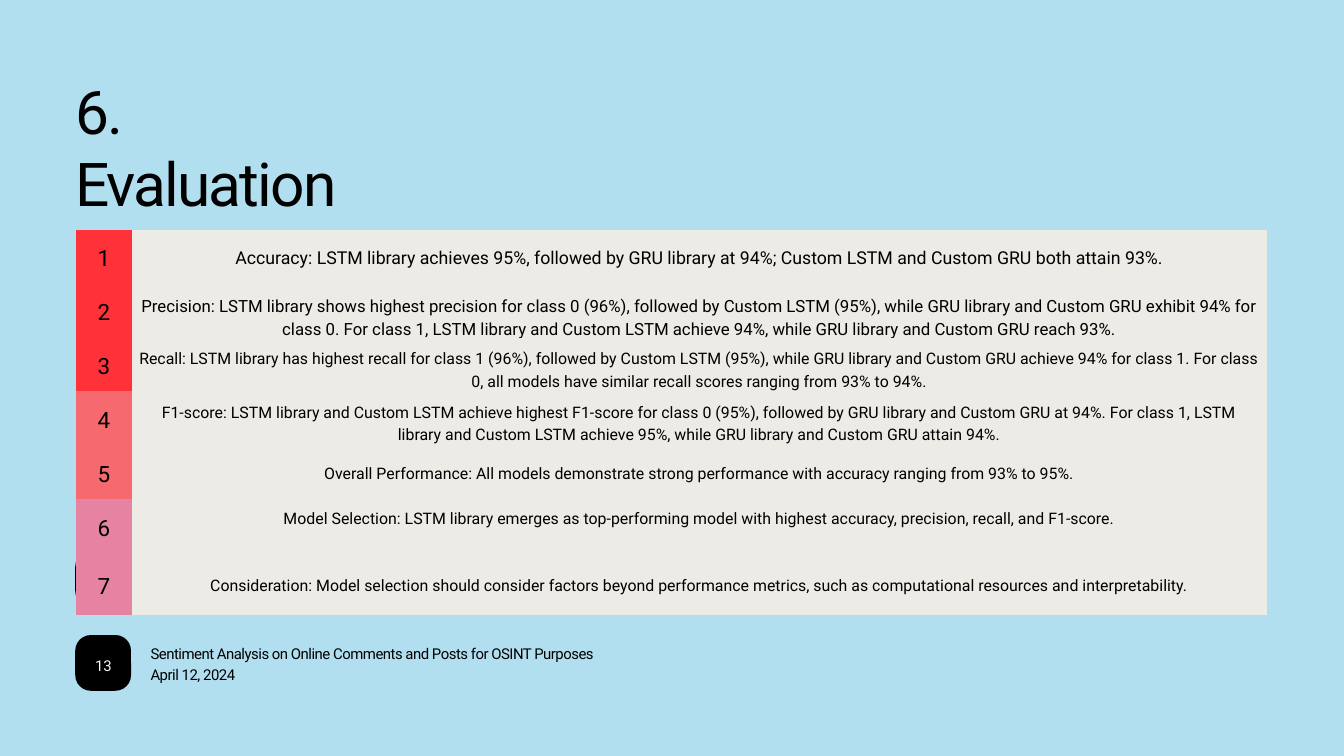
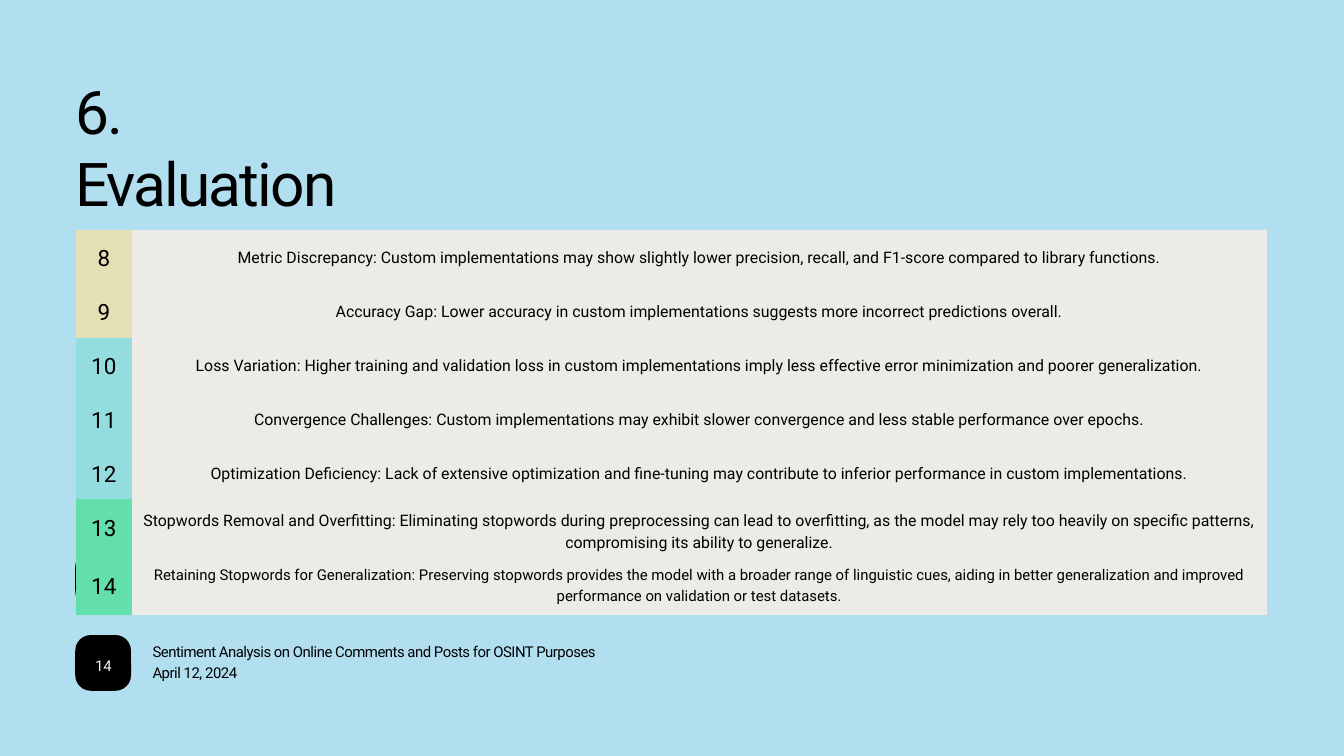
import collections

import pptx
import pptx.dml.color
import pptx.enum.shapes
import pptx.enum.text
import pptx.oxml
import pptx.oxml.ns
import pptx.util

RGB = pptx.dml.color.RGBColor
ALIGN = pptx.enum.text.PP_ALIGN
ANCHOR = pptx.enum.text.MSO_ANCHOR

SKY = RGB(0xB2, 0xDF, 0xF0)
BLACK = RGB(0x00, 0x00, 0x00)
WHITE = RGB(0xF4, 0xF4, 0xF4)
CREAM = RGB(0xED, 0xEB, 0xE6)
RED = RGB(0xFF, 0x31, 0x39)
CORAL = RGB(0xF6, 0x69, 0x6E)
PINK = RGB(0xE6, 0x83, 0xA3)
SAND = RGB(0xE4, 0xDF, 0xB5)
AQUA = RGB(0x94, 0xDD, 0xDE)
MINT = RGB(0x62, 0xDF, 0xAB)

FACE = "Roboto"
WIDE, TALL = 20, 11.25

# Boxes are in inches; each region places its parts inside its own box
Box = collections.namedtuple("Box", "x y w h")
HEAD = Box(1.12, 1.1, 17.75, 2.16)
BODY = Box(1.13, 3.42, 17.72, 5.61)
FOOT = Box(1.12, 9.45, 17.75, 0.83)
BADGE = 0.83
ROWS = 7
PAD = 0.11

# A point: its text, badge colour, size, height in rows and anchor
Point = collections.namedtuple("Point", "text tint size span anchor",
                               defaults=(17, 1, ANCHOR.MIDDLE))
TWO = 1.16

FIRST = [
    Point("Accuracy: LSTM library achieves 95%, followed by GRU library at 94%; "
          "Custom LSTM and Custom GRU both attain 93%.", RED, 19),
    Point("Precision: LSTM library shows highest precision for class 0 (96%), "
          "followed by Custom LSTM (95%), while GRU library and Custom GRU "
          "exhibit 94% for class 0. For class 1, LSTM library and Custom LSTM "
          "achieve 94%, while GRU library and Custom GRU reach 93%.",
          RED, 18, 1.21),
    Point("Recall: LSTM library has highest recall for class 1 (96%), followed "
          "by Custom LSTM (95%), while GRU library and Custom GRU achieve 94% "
          "for class 1. For class 0, all models have similar recall scores "
          "ranging from 93% to 94%.", RED, 17, TWO),
    Point("F1-score: LSTM library and Custom LSTM achieve highest F1-score for "
          "class 0 (95%), followed by GRU library and Custom GRU at 94%. For "
          "class 1, LSTM library and Custom LSTM achieve 95%, while GRU library "
          "and Custom GRU attain 94%.", CORAL, 17, TWO),
    Point("Overall Performance: All models demonstrate strong performance with "
          "accuracy ranging from 93% to 95%.", CORAL),
    Point("Model Selection: LSTM library emerges as top-performing model with "
          "highest accuracy, precision, recall, and F1-score.",
          PINK, 17, TWO, ANCHOR.TOP),
    Point("Consideration: Model selection should consider factors beyond "
          "performance metrics, such as computational resources and "
          "interpretability.", PINK, 17, TWO),
]
SECOND = [
    Point("Metric Discrepancy: Custom implementations may show slightly lower "
          "precision, recall, and F1-score compared to library functions.", SAND),
    Point("Accuracy Gap: Lower accuracy in custom implementations suggests more "
          "incorrect predictions overall.", SAND),
    Point("Loss Variation: Higher training and validation loss in custom "
          "implementations imply less effective error minimization and poorer "
          "generalization.", AQUA),
    Point("Convergence Challenges: Custom implementations may exhibit slower "
          "convergence and less stable performance over epochs.", AQUA),
    Point("Optimization Deficiency: Lack of extensive optimization and "
          "fine-tuning may contribute to inferior performance in custom "
          "implementations.", AQUA),
    Point("Stopwords Removal and Overfitting: Eliminating stopwords during "
          "preprocessing can lead to overfitting, as the model may rely too "
          "heavily on specific patterns, compromising its ability to "
          "generalize.", MINT, 17, TWO),
    Point("Retaining Stopwords for Generalization: Preserving stopwords provides "
          "the model with a broader range of linguistic cues, aiding in better "
          "generalization and improved performance on validation or test "
          "datasets.", MINT, 16, TWO),
]
NOTES = ["Sentiment Analysis on Online Comments and Posts for OSINT Purposes",
         "April 12, 2024"]


def inch(*nums):
    return [pptx.util.Inches(num) for num in nums]


def write(frame, text, size, align, color=BLACK, lead=1.4, track=0):
    """Fill a text frame with one formatted run."""
    frame.word_wrap = True
    para = frame.paragraphs[0]
    para.alignment = align
    para.line_spacing = pptx.util.Pt(round(size * lead, 1))
    run = para.add_run()
    run.text = text
    run.font.name = FACE
    run.font.size = pptx.util.Pt(size)
    run.font.bold = False
    run.font.color.rgb = color
    if track:
        run._r.get_or_add_rPr().set("spc", str(int(track * 100)))


def strip(frame):
    """Remove the insets and hang the text from the top."""
    frame.margin_left = frame.margin_right = 0
    frame.margin_top = frame.margin_bottom = 0
    frame.vertical_anchor = ANCHOR.TOP
    frame.auto_size = pptx.enum.text.MSO_AUTO_SIZE.NONE


def label(slide, box, text, size, align, **look):
    frame = slide.shapes.add_textbox(*inch(*box)).text_frame
    strip(frame)
    write(frame, text, size, align, **look)


def badge(slide, x, y):
    """Black rounded square."""
    shape = slide.shapes.add_shape(
        pptx.enum.shapes.MSO_SHAPE.ROUNDED_RECTANGLE,
        *inch(x, y, BADGE, BADGE))
    shape.adjustments[0] = 0.28
    shape.shadow.inherit = False
    shape.fill.solid()
    shape.fill.fore_color.rgb = BLACK
    shape.line.fill.background()


def panel(slide, box, text, size, fill, anchor=ANCHOR.MIDDLE):
    """Borderless table of one cell."""
    table = slide.shapes.add_table(1, 1, *inch(*box)).table
    table.first_row = table.horz_banding = False
    cell = table.cell(0, 0)
    props = cell._tc.get_or_add_tcPr()
    for side in ("lnL", "lnR", "lnT", "lnB"):
        props.append(pptx.oxml.parse_xml(
            f'<a:{side} {pptx.oxml.ns.nsdecls("a")} w="0"><a:noFill/></a:{side}>'))
    cell.fill.solid()
    cell.fill.fore_color.rgb = fill
    cell.margin_left = cell.margin_right = pptx.util.Inches(PAD)
    cell.margin_top = cell.margin_bottom = pptx.util.Inches(PAD)
    cell.vertical_anchor = anchor
    write(cell.text_frame, text, size, ALIGN.CENTER)


def header(slide, box):
    """Section number above the title."""
    half = box.h / 2
    look = {"lead": 1.2, "track": -2}
    title = slide.shapes.title
    title.left, title.top, title.width, title.height = inch(
        box.x, box.y + half, box.w * 0.66, half)
    strip(title.text_frame)
    write(title.text_frame, "Evaluation", 64.7, ALIGN.LEFT, **look)
    label(slide, Box(box.x, box.y, box.w, half), "6.", 64.7, ALIGN.LEFT, **look)


def points(slide, box, items, start):
    """Numbered rows; each later row covers the foot of the one above."""
    pitch = box.h / ROWS
    badge(slide, box.x - 0.01, box.y + box.h - BADGE)
    for row, item in enumerate(items):
        top = box.y + row * pitch
        span = TWO if row == ROWS - 1 else 1
        panel(slide, Box(box.x + BADGE, top, box.w - BADGE, item.span * pitch),
              item.text, item.size, CREAM, item.anchor)
        panel(slide, Box(box.x, top, BADGE, span * pitch),
              str(start + row), 24, item.tint)


def footer(slide, box, page, left, top):
    """Page badge with the talk's name and date beside it."""
    badge(slide, box.x, box.y)
    label(slide, Box(box.x + 0.06, box.y + 0.27, 0.72, 0.28), str(page), 16,
          ALIGN.CENTER, color=WHITE)
    for line, text in enumerate(NOTES):
        spot = Box(box.x + left, box.y + top + line * 0.32, 10.9, 0.27)
        label(slide, spot, text, 16, ALIGN.JUSTIFY, lead=1.2, track=-0.5)


def build(deck, items, start, page, left, top):
    slide = deck.slides.add_slide(deck.slide_layouts.get_by_name("Title Only"))
    header(slide, HEAD)
    points(slide, BODY, items, start)
    footer(slide, FOOT, page, left, top)


def main():
    deck = pptx.Presentation()
    deck.slide_width, deck.slide_height = inch(WIDE, TALL)
    back = deck.slide_master.background.fill
    back.solid()
    back.fore_color.rgb = SKY
    build(deck, FIRST, 1, 13, 1.12, 0.14)
    build(deck, SECOND, 8, 14, 1.15, 0.11)
    deck.save("out.pptx")


if __name__ == "__main__":
    main()
